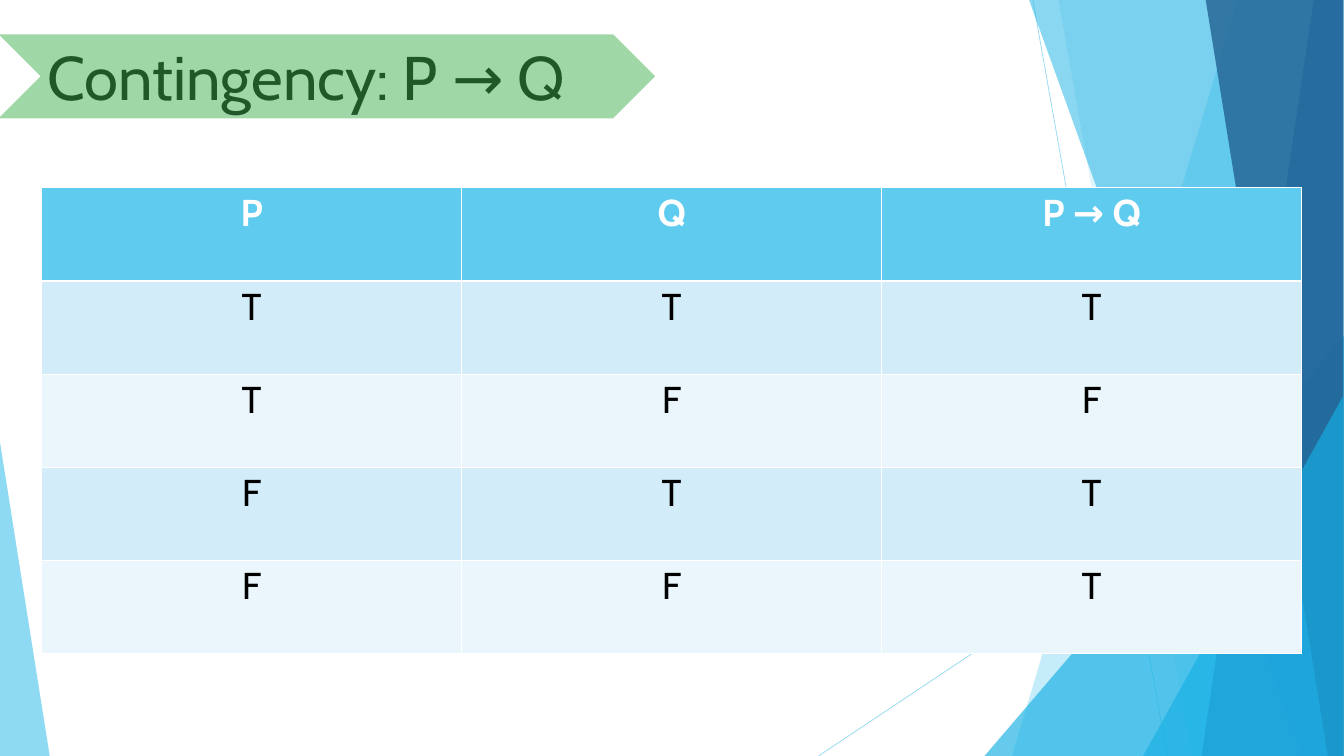
from dataclasses import dataclass

from lxml.etree import SubElement
from pptx import Presentation
from pptx.dml.color import RGBColor
from pptx.enum.shapes import MSO_CONNECTOR as Connector, MSO_SHAPE as Preset
from pptx.enum.text import MSO_ANCHOR as Anchor, PP_ALIGN as Align
from pptx.oxml.ns import qn
from pptx.util import Inches, Pt


@dataclass(frozen=True)
class Theme:
    font: str = "Cabin"
    title_size: int = 66
    table_size: int = 40
    black: str = "000000"
    white: str = "FFFFFF"
    sky: str = "5FCBEF"
    cyan: str = "17B0E4"
    blue: str = "2E83C3"
    navy: str = "226292"
    green: str = "42B051"
    bands: tuple = ("D2ECF9", "EAF6FC")


def write(frame, text, size, color, font, bold=False, align=Align.LEFT):
    paragraph = frame.paragraphs[0]
    paragraph.alignment = align
    run = paragraph.add_run()
    run.text = text
    run.font.size = Pt(size)
    run.font.name = font
    run.font.bold = bold
    run.font.color.rgb = RGBColor.from_string(color)


def set_opacity(shape, percent):
    color = shape.element.spPr.find(".//" + qn("a:srgbClr"))
    SubElement(color, qn("a:alpha"), val=str(percent * 1000))


def set_borders(cell, color, bottom_width):
    """Must run before the cell is filled: the schema puts lines ahead of the fill."""
    properties = cell._tc.get_or_add_tcPr()
    for side, width in (("L", 1), ("R", 1), ("T", 1), ("B", bottom_width)):
        line = SubElement(properties, qn(f"a:ln{side}"), w=str(Pt(width)))
        fill = SubElement(line, qn("a:solidFill"))
        SubElement(fill, qn("a:srgbClr"), val=color)


class SlideBuilder:
    def __init__(self, slide, theme):
        self.slide = slide
        self.theme = theme

    def paint(self, shape, color, opacity):
        shape.shadow.inherit = False
        shape.fill.solid()
        shape.fill.fore_color.rgb = RGBColor.from_string(color)
        shape.line.fill.background()
        set_opacity(shape, opacity)

    def line(self, start, end, color, opacity):
        connector = self.slide.shapes.add_connector(
            Connector.STRAIGHT, *map(Inches, start + end))
        connector.line.width = Pt(0.75)
        connector.line.color.rgb = RGBColor.from_string(color)
        set_opacity(connector, opacity)
        SubElement(connector.element.spPr, qn("a:effectLst"))

    def facet(self, points, color, opacity):
        start, *others = [(Inches(x), Inches(y)) for x, y in points]
        outline = self.slide.shapes.build_freeform(*start)
        outline.add_line_segments(others, close=True)
        self.paint(outline.convert_to_shape(), color, opacity)

    def preset(self, kind, box, color, opacity, adjustment):
        shape = self.slide.shapes.add_shape(kind, *map(Inches, box))
        shape.adjustments[0] = adjustment
        self.paint(shape, color, opacity)

    def title(self, text, box):
        frame = self.slide.shapes.add_textbox(*map(Inches, box)).text_frame
        frame.word_wrap = True
        frame.vertical_anchor = Anchor.TOP
        frame.margin_left = Inches(0.05)
        frame.margin_top = Inches(0.1)
        write(frame, text, self.theme.title_size, self.theme.black, self.theme.font)

    def truth_table(self, rows, box):
        theme = self.theme
        table = self.slide.shapes.add_table(
            len(rows), len(rows[0]), *map(Inches, box)).table
        for r, values in enumerate(rows):
            header = r == 0
            background = theme.sky if header else theme.bands[(r - 1) % 2]
            for c, value in enumerate(values):
                cell = table.cell(r, c)
                set_borders(cell, theme.white, bottom_width=3 if header else 1)
                cell.fill.solid()
                cell.fill.fore_color.rgb = RGBColor.from_string(background)
                write(cell.text_frame, value, theme.table_size,
                      theme.white if header else theme.black, theme.font,
                      bold=header, align=Align.CENTER)


def draw_backdrop(builder):
    theme = builder.theme
    top, bottom, right = -0.01, 11.25, 19.99

    def band(top_left, bottom_left, color, opacity):
        """Fill from a slanted left edge to the right side of the slide."""
        builder.facet([(top_left, top), (right, top), (right, bottom),
                       (bottom_left, bottom)], color, opacity)

    def triangle(box, color, opacity, apex):
        builder.preset(Preset.ISOSCELES_TRIANGLE, box, color, opacity, apex)

    builder.line((15.37, 0), (17.37, bottom), theme.sky, 70)
    builder.line((right, 6.04), (12.18, bottom), theme.sky, 70)
    band(18.42, 15.06, theme.sky, 36)
    band(15.75, 17.74, theme.sky, 20)
    triangle((14.65, 5, 5.35, 6.25), theme.cyan, 66, apex=1)
    band(15.31, 19.37, theme.cyan, 50)
    band(19.55, 17.88, theme.blue, 70)
    band(17.94, 19.76, theme.navy, 80)
    triangle((17.01, 5.89, 2.98, 5.36), theme.cyan, 66, apex=1)
    triangle((0, 6.58, 0.74, 4.67), theme.sky, 70, apex=0)


def main():
    presentation = Presentation()
    presentation.slide_width = Inches(20)
    presentation.slide_height = Inches(11.25)
    slide = presentation.slides.add_slide(presentation.slide_layouts[6])
    theme = Theme()
    builder = SlideBuilder(slide, theme)

    draw_backdrop(builder)
    builder.title("Contingency: P → Q", (0.66, 0.48, 10.25, 1.74))
    builder.preset(Preset.CHEVRON, (-0.02, 0.51, 9.77, 1.25), theme.green, 50,
                   adjustment=0.5)
    builder.truth_table([
        ("P", "Q", "P → Q"),
        ("T", "T", "T"),
        ("T", "F", "F"),
        ("F", "T", "T"),
        ("F", "F", "T"),
    ], (0.62, 2.79, 18.75, 6.94))

    presentation.save("out.pptx")


if __name__ == "__main__":
    main()
